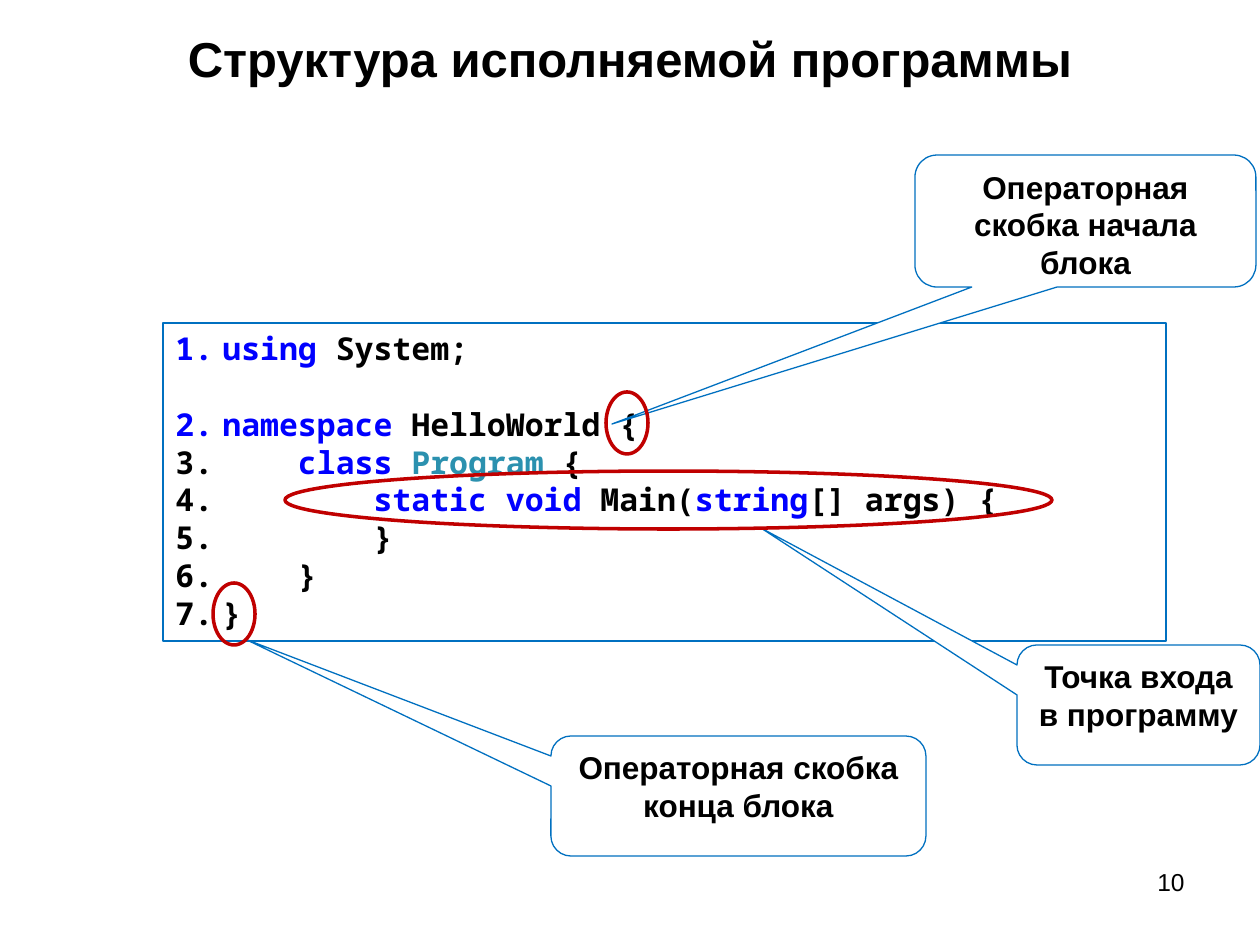
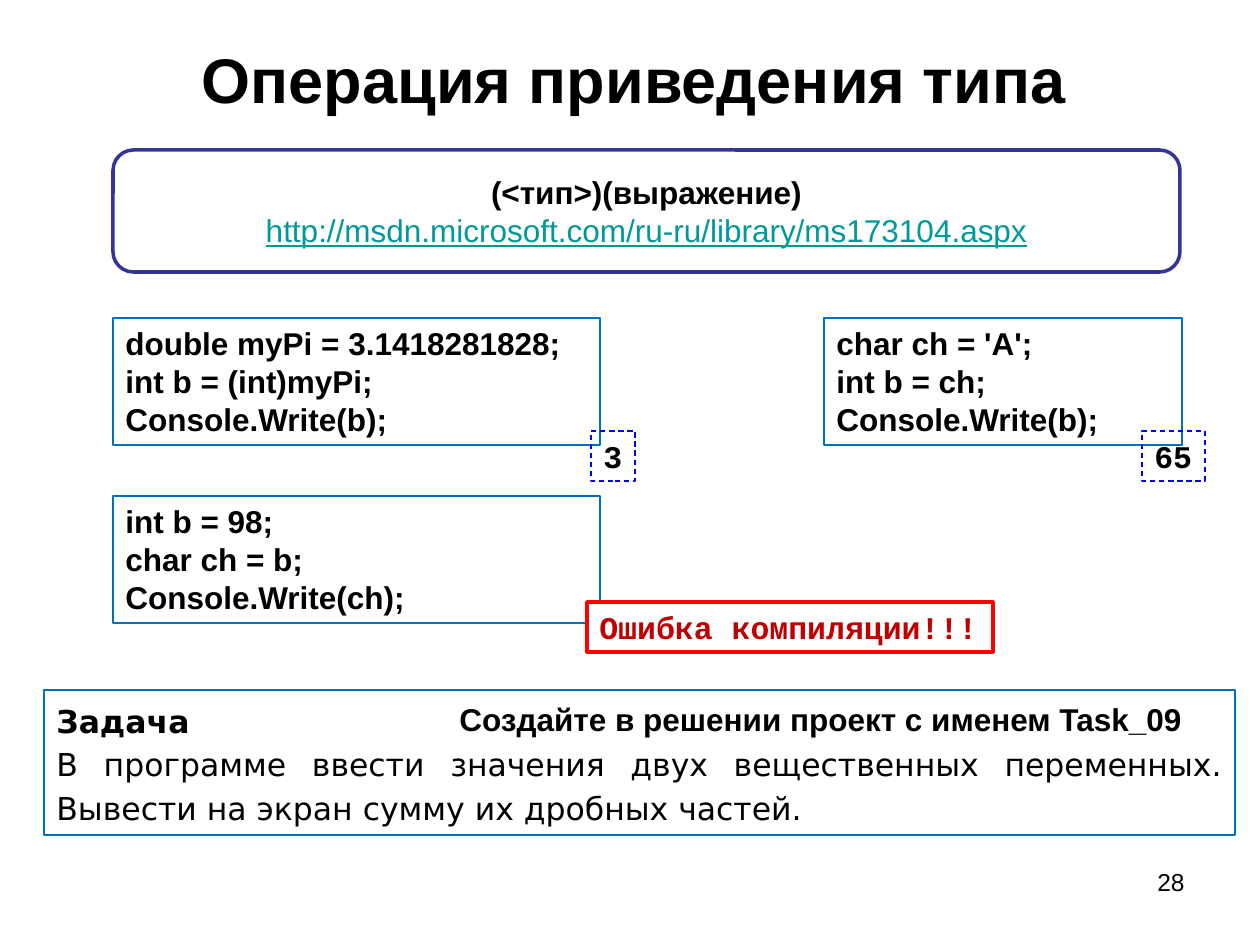
from dataclasses import dataclass

from lxml.etree import SubElement
from pptx import Presentation
from pptx.dml.color import RGBColor
from pptx.enum.dml import MSO_LINE_DASH_STYLE as DASH
from pptx.enum.shapes import MSO_SHAPE as SHAPE
from pptx.enum.text import MSO_ANCHOR as ANCHOR, PP_ALIGN as ALIGN
from pptx.oxml.ns import qn
from pptx.util import Pt

PX = 914400 / 126


@dataclass(frozen=True)
class Theme:
    black: str = "000000"
    white: str = "FFFFFF"
    frame: str = "0070C0"
    keyword: str = "0000FF"
    type_name: str = "2B91AF"
    mark: str = "C00000"
    error: str = "FF0000"
    banner: str = "333399"
    link: str = "009999"
    sans: str = "Arial"
    mono: str = "Courier New"
    code: str = "Noto Sans Mono"
    task: str = "DejaVu Sans"
    body: int = 18
    number: int = 14
    thin: float = 0.75
    thick: int = 2


T = Theme()
K, C = T.keyword, T.black

# Each line of the listing is a row of (text, colour) pieces.
PROGRAM = [
    [("using", K), (" System;", C)],
    [("namespace", K), (" HelloWorld {", C)],
    [("    ", C), ("class", K), (" ", C), ("Program", T.type_name), (" {", C)],
    [("        ", C), ("static", K), (" ", C), ("void", K), (" Main(", C),
     ("string", K), ("[] args) {", C)],
    [("        }", C)],
    [("    }", C)],
    [("}", C)],
]


def px(*lengths):
    return [round(n * PX) for n in lengths]


def style(r, size=T.body, font=T.sans, color=T.black, bold=True):
    r.font.size, r.font.name, r.font.bold = Pt(size), font, bold
    r.font.color.rgb = RGBColor.from_string(color)


def write(tf, text, align=ALIGN.LEFT, anchor=ANCHOR.TOP, wrap=True, spacing=None, **look):
    """Fill the frame, one paragraph a line, all in one look."""
    tf.word_wrap, tf.vertical_anchor = wrap, anchor
    tf.text = text
    for p in tf.paragraphs:
        p.alignment = align
        if spacing:
            p.line_spacing = spacing
        for r in p.runs:
            style(r, **look)


def add_text(s, box, text, **look):
    tf = s.shapes.add_textbox(*px(*box)).text_frame
    write(tf, text, **look)


def add_frame(s, box, kind=SHAPE.RECTANGLE, line=T.frame, weight=T.thin, fill=None, dash=None):
    sp = s.shapes.add_shape(kind, *px(*box))
    sp.shadow.inherit = False
    if fill:
        sp.fill.solid()
        sp.fill.fore_color.rgb = RGBColor.from_string(fill)
    else:
        sp.fill.background()
    sp.line.color.rgb = RGBColor.from_string(line)
    sp.line.width = Pt(weight)
    if dash:
        sp.line.dash_style = dash
    return sp


def add_slide(prs, title, title_box, title_size, number):
    s = prs.slides.add_slide(prs.slide_layouts[6])
    add_text(s, title_box, title, align=ALIGN.CENTER, anchor=ANCHOR.MIDDLE, size=title_size)
    add_text(s, (903, 861, 294, 66), str(number), align=ALIGN.RIGHT, size=T.number, bold=False)
    return s


def add_listing(s, box, rows, gap_before):
    """Numbered code; the row with index gap_before stands one line lower."""
    tf = add_frame(s, box).text_frame
    tf.word_wrap, tf.vertical_anchor = True, ANCHOR.TOP
    indent, = px(47)
    for i, row in enumerate(rows):
        p = tf.add_paragraph() if i else tf.paragraphs[0]
        p.alignment = ALIGN.LEFT
        if i == gap_before:
            p.space_before = Pt(21.6)
        pPr = p._p.get_or_add_pPr()
        pPr.set("marL", str(indent))
        pPr.set("indent", str(-indent))
        SubElement(pPr, qn("a:buAutoNum"), type="arabicPeriod")
        for text, color in row:
            r = p.add_run()
            r.text = text
            style(r, font=T.code, color=color)


def add_callout(s, box, tip, text):
    """Speech bubble whose tail ends at the point tip."""
    x, y, w, h = box
    sp = add_frame(s, box, SHAPE.ROUNDED_RECTANGULAR_CALLOUT, fill=T.white)
    sp.adjustments[0] = (tip[0] - x - w / 2) / w
    sp.adjustments[1] = (tip[1] - y - h / 2) / h
    sp.adjustments[2] = 0.167
    write(sp.text_frame, text, align=ALIGN.CENTER)


def add_banner(s, box, syntax, address):
    sp = add_frame(s, box, SHAPE.ROUNDED_RECTANGLE, T.banner, T.thick, T.white)
    write(sp.text_frame, f"{syntax}\n{address}", align=ALIGN.CENTER, anchor=ANCHOR.MIDDLE)
    r = sp.text_frame.paragraphs[1].runs[0]
    style(r, color=T.link, bold=False)
    r.font.underline = True


def add_snippet(s, box, code, result, result_box, color=T.black, **frame):
    """Code with its result; result_box starts from the lower right corner."""
    x, y, w, h = box
    dx, dy, result_w, result_h = result_box
    write(add_frame(s, box).text_frame, code)
    sp = add_frame(s, (x + w + dx, y + h + dy, result_w, result_h), **frame)
    write(sp.text_frame, result, wrap=False, font=T.mono, color=color)


def add_task(s, box, heading, text, note):
    x, y, w, h = box
    tf = add_frame(s, box).text_frame
    write(tf, f"{heading}\n{text}", align=ALIGN.JUSTIFY, spacing=1.15, font=T.task)
    tf.paragraphs[1].runs[0].font.bold = False
    add_text(s, (x + 403, y + 11, w - 403, 43), note, spacing=0.8)


def build_program_structure(prs):
    s = add_slide(prs, "Структура исполняемой программы", (63, 13, 1134, 89), 28, 10)
    add_listing(s, (163, 323, 1003, 318), PROGRAM, gap_before=1)
    for box, tip, text in (
        ((1017, 645, 243, 120), (761, 528), "Точка входа в программу"),
        ((551, 736, 375, 120), (245, 639), "Операторная скобка конца блока"),
        ((915, 155, 341, 132), (612, 424), "Операторная скобка начала блока"),
    ):
        add_callout(s, box, tip, text)
    for box in (285, 471, 767, 58), (213, 583, 42, 62), (606, 392, 42, 62):
        add_frame(s, box, SHAPE.OVAL, T.mark, T.thick)


def build_type_cast(prs):
    s = add_slide(prs, "Операция приведения типа", (67, 35, 1134, 87), 36, 28)
    add_banner(s, (113, 150, 1067, 122), "(<тип>)(выражение)",
               "http://msdn.microsoft.com/ru-ru/library/ms173104.aspx")
    add_task(s, (44, 690, 1191, 145), "Задача",
             "В программе ввести значения двух вещественных переменных. "
             "Вывести на экран сумму их дробных частей.",
             "Создайте в решении проект с именем Task_09")
    output = dict(line=T.keyword, dash=DASH.DASH)
    add_snippet(s, (113, 318, 487, 127),
                "double myPi = 3.1418281828;\nint b = (int)myPi;\nConsole.Write(b);",
                "3", (-9, -14, 44, 50), **output)
    add_snippet(s, (824, 318, 358, 127), "char ch = 'A';\nint b = ch;\nConsole.Write(b);",
                "65", (-40, -14, 63, 50), **output)
    add_snippet(s, (113, 496, 487, 127), "int b = 98;\nchar ch = b;\nConsole.Write(ch);",
                "Ошибка компиляции!!!", (-13, -21, 406, 50), color=T.mark,
                line=T.error, weight=T.thick, fill=T.white)


def main():
    prs = Presentation()
    prs.slide_width, prs.slide_height = px(1260, 945)
    build_program_structure(prs)
    build_type_cast(prs)
    prs.save("out.pptx")


if __name__ == "__main__":
    main()
